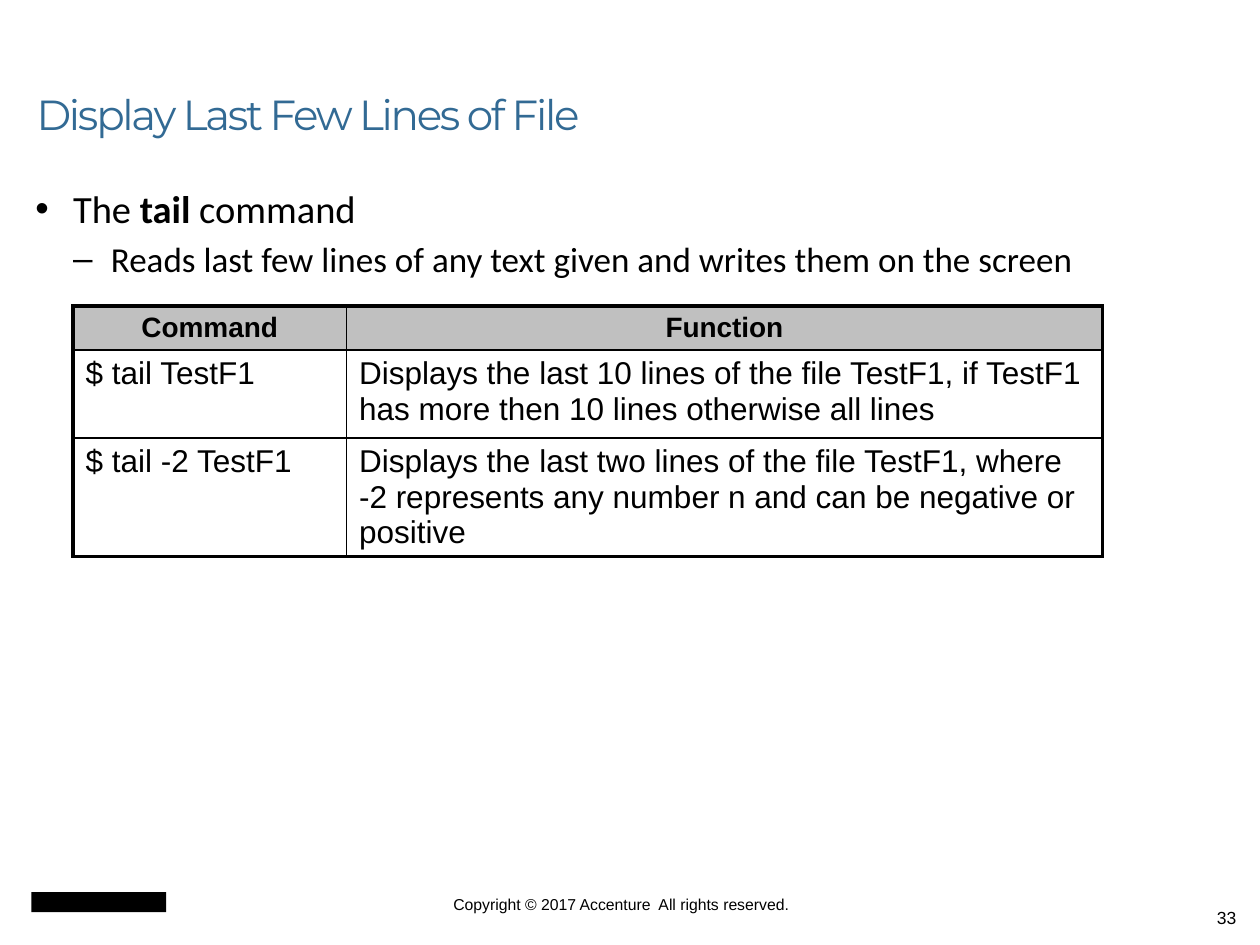
from lxml import etree
from pptx import Presentation
from pptx.dml.color import RGBColor
from pptx.enum.shapes import MSO_SHAPE
from pptx.enum.text import MSO_ANCHOR, MSO_AUTO_SIZE, PP_ALIGN
from pptx.oxml.ns import qn
from pptx.util import Inches, Pt

LEFT, CENTER, RIGHT = PP_ALIGN.LEFT, PP_ALIGN.CENTER, PP_ALIGN.RIGHT
TOP, BOTTOM = MSO_ANCHOR.TOP, MSO_ANCHOR.BOTTOM
NO_FIT = MSO_AUTO_SIZE.NONE
RECTANGLE = MSO_SHAPE.RECTANGLE

COLORS = {"text": "000000", "title": "326A94", "header": "C0C0C0"}
INDENT = 0.3
OUTER_LINE, INNER_LINE = 2.25, 1
COLUMN_WIDTHS = [2.17, 6]
ROW_HEIGHTS = [0.33, 0.7, 0.93]
COMMANDS = [
    ("Command", "Function"),
    ("$ tail TestF1",
     "Displays the last 10 lines of the file TestF1, if TestF1 has more then 10 lines otherwise all lines"),
    ("$ tail -2 TestF1",
     "Displays the last two lines of the file TestF1, where -2 represents any number n and can be negative or positive"),
]
BULLETS = [
    (0, 22, [("The ", False), ("tail", True), (" command", False)]),
    (1, 20, [("Reads last few lines of any text given and writes them on the screen", False)]),
]


def style(para, size, name="Arial", color="text", bold=None, align=LEFT):
    para.alignment = align
    font = para.font
    font.size, font.name, font.bold = Pt(size), name, bold
    font.color.rgb = RGBColor.from_string(COLORS[color])


def place(shape, left, top, width, height):
    shape.left, shape.top = Inches(left), Inches(top)
    shape.width, shape.height = Inches(width), Inches(height)


def fill_title(title):
    place(title, 0.19, 0.16, 8.92, 1)
    frame = title.text_frame
    frame.auto_size, frame.vertical_anchor = NO_FIT, BOTTOM
    para = frame.paragraphs[0]
    para.line_spacing = 0.9
    style(para, 24, "Montserrat", "title")
    span = para.add_run()
    span.text = "Display Last Few Lines of File"
    span._r.get_or_add_rPr().set("spc", "-130")


def fill_body(body):
    place(body, 0.18, 1.42, 9.32, 5.25)
    frame = body.text_frame
    frame.auto_size, frame.vertical_anchor = NO_FIT, TOP
    for index, (level, size, spans) in enumerate(BULLETS):
        para = frame.add_paragraph() if index else frame.paragraphs[0]
        para.level = level
        para.space_before = Pt(3.5 if index else 0)
        properties = para._p.get_or_add_pPr()
        properties.set("marL", str(Inches(INDENT * (level + 1))))
        properties.set("indent", str(Inches(-INDENT)))
        style(para, size, "Calibri")
        for text, bold in spans:
            span = para.add_run()
            span.text = text
            if bold:
                span.font.bold = True


def add_borders(cell, widths):
    properties = cell._tc.get_or_add_tcPr()
    for side, width in widths.items():
        line = etree.SubElement(properties, qn(f"a:ln{side}"), w=str(Pt(width)))
        fill = etree.SubElement(line, qn("a:solidFill"))
        etree.SubElement(fill, qn("a:srgbClr"), val=COLORS["text"])


def add_command_table(page):
    last_row, last_column = len(ROW_HEIGHTS) - 1, len(COLUMN_WIDTHS) - 1
    table = page.shapes.add_table(
        len(ROW_HEIGHTS), len(COLUMN_WIDTHS), Inches(0.58), Inches(2.43),
        Inches(sum(COLUMN_WIDTHS)), Inches(sum(ROW_HEIGHTS))).table
    table.horz_banding = False
    for column, width in zip(table.columns, COLUMN_WIDTHS):
        column.width = Inches(width)
    for r, (row, height) in enumerate(zip(table.rows, ROW_HEIGHTS)):
        row.height = Inches(height)
        header = r == 0
        for c, cell in enumerate(row.cells):
            outer = {"L": c == 0, "R": c == last_column, "T": header, "B": r == last_row}
            add_borders(cell, {side: OUTER_LINE if edge else INNER_LINE
                               for side, edge in outer.items()})
            if header:
                cell.fill.solid()
                cell.fill.fore_color.rgb = RGBColor.from_string(COLORS["header"])
            else:
                cell.fill.background()
            cell.text = COMMANDS[r][c]
            style(cell.text_frame.paragraphs[0], 16 if header else 18,
                  bold=header, align=CENTER if header else LEFT)


def add_label(page, text, size, align, bounds, inset):
    box = page.shapes.add_textbox(*(Inches(value) for value in bounds))
    frame = box.text_frame
    frame.word_wrap = True
    frame.margin_left = frame.margin_right = Inches(inset)
    frame.margin_top = frame.margin_bottom = 0
    para = frame.paragraphs[0]
    para.text = text
    style(para, size, align=align)


def add_footer_block(page):
    block = page.shapes.add_shape(
        RECTANGLE, Inches(0.25), Inches(7.08), Inches(1.07), Inches(0.16))
    block.shadow.inherit = False
    block.fill.solid()
    block.fill.fore_color.rgb = RGBColor.from_string(COLORS["text"])
    block.line.fill.background()


def main():
    deck = Presentation()
    deck.slide_width, deck.slide_height = Inches(10), Inches(7.5)
    page = deck.slides.add_slide(deck.slide_layouts[1])
    fill_title(page.shapes.title)
    fill_body(page.placeholders[1])
    add_command_table(page)
    add_footer_block(page)
    add_label(page, "Copyright © 2017 Accenture  All rights reserved.", 9, CENTER,
              (2.75, 7.1, 4.36, 0.15), 0)
    add_label(page, "33", 10, RIGHT, (7.58, 7.2, 2.33, 0.3), 0.1)
    deck.save("out.pptx")


if __name__ == "__main__":
    main()
